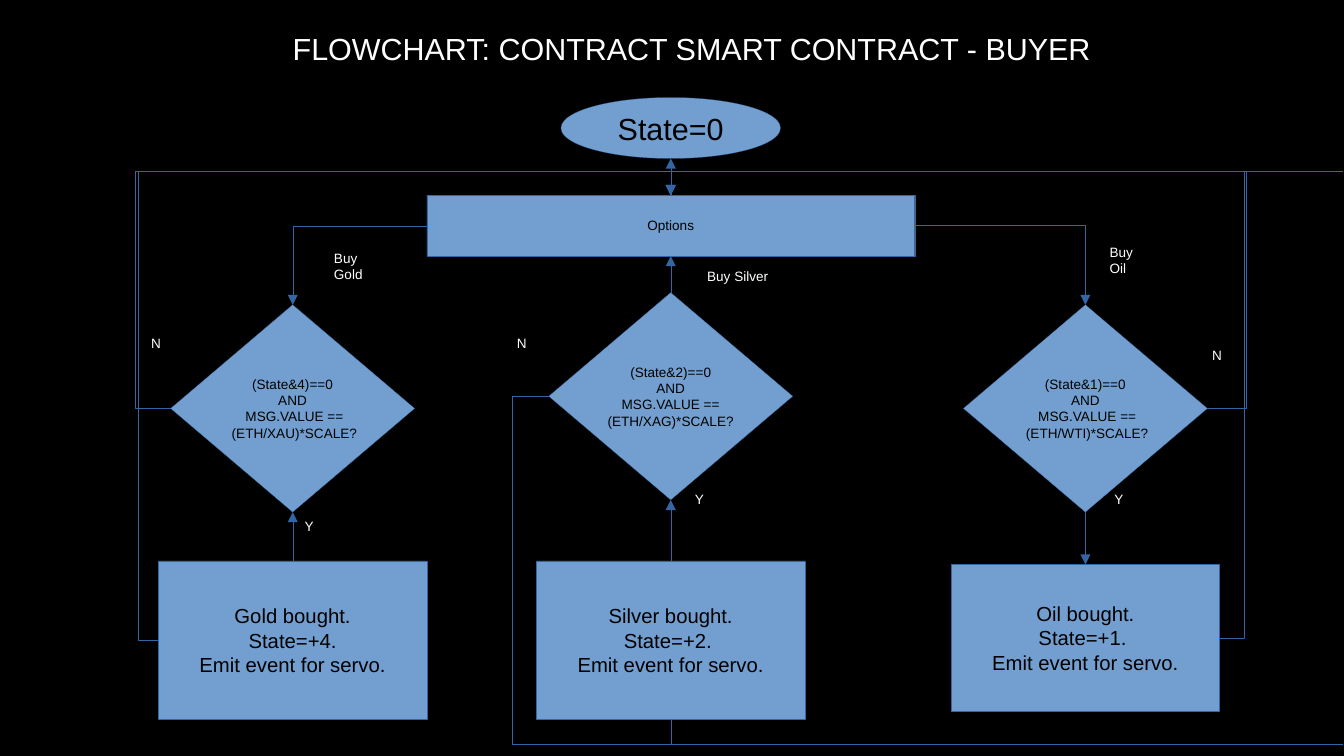
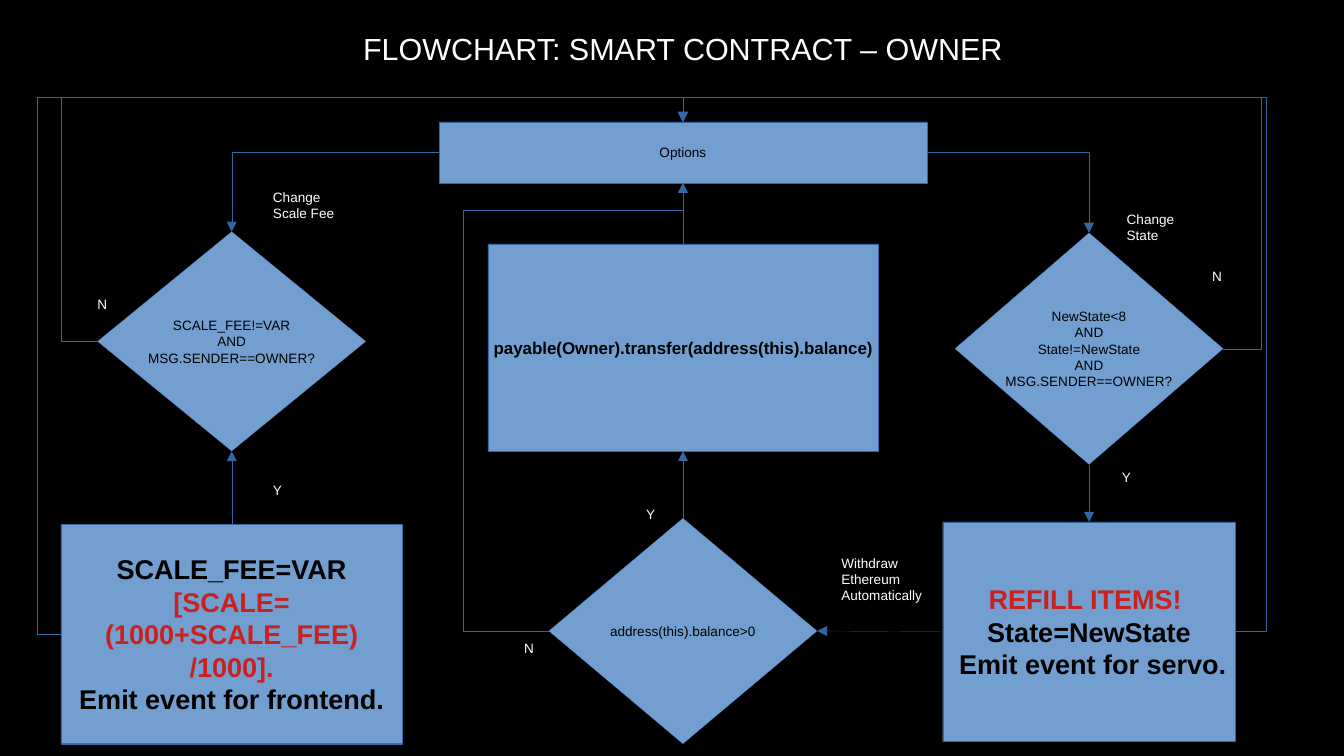
from lxml.etree import SubElement
from pptx import Presentation
from pptx.dml.color import RGBColor
from pptx.enum.shapes import MSO_CONNECTOR as CONNECTOR, MSO_SHAPE as SHAPE
from pptx.enum.text import MSO_ANCHOR, MSO_AUTO_SIZE, PP_ALIGN as ALIGN
from pptx.oxml.ns import qn
from pptx.util import Inches, Pt

COLORS = {
    "background": "000000",
    "light": "FFFFFF",
    "dark": "000000",
    "fill": "729FCF",
    "line": "3465A4",
    "alert": "C9211E",
}
RGB = {name: RGBColor.from_string(value) for name, value in COLORS.items()}
FONT = "Arial"
HAIRLINE = Pt(0.1)
TOP, LEFT, BOTTOM, RIGHT = range(4)


def write(shape, text, size, color, align, bold=False, alert_lines=()):
    shape.text_frame.text = text
    for index, para in enumerate(shape.text_frame.paragraphs):
        para.alignment = align
        for span in para.runs:
            span.font.name = FONT
            span.font.size = Pt(size)
            span.font.bold = bold
            span.font.color.rgb = RGB["alert" if index in alert_lines else color]


def add_line(page, boxes, kind, tail, head, arrow=True):
    points = [(0, 0) if isinstance(end[0], str) else end for end in (tail, head)]
    line = page.shapes.add_connector(kind, *[Inches(value) for point in points for value in point])
    if isinstance(tail[0], str):
        line.begin_connect(boxes[tail[0]], tail[1])
    if isinstance(head[0], str):
        line.end_connect(boxes[head[0]], head[1])
    line.line.color.rgb = RGB["line"]
    line.line.width = HAIRLINE
    if arrow:
        SubElement(line.line._get_or_add_ln(), qn("a:tailEnd"), type="triangle")
    SubElement(line._element.spPr, qn("a:effectLst"))
    return line


deck = Presentation()
deck.slide_width = Inches(11.02)
deck.slide_height = Inches(6.2)
background = deck.slide_master.background.fill
background.solid()
background.fore_color.rgb = RGB["background"]
title_only = deck.slide_layouts[5]
for footer in list(title_only.placeholders)[1:]:
    footer._element.getparent().remove(footer._element)

slides = [
    {
        "title": ("FLOWCHART: CONTRACT SMART CONTRACT - BUYER", 2.3, 7.9, ALIGN.LEFT),
        "nodes": {
            "state": (SHAPE.OVAL, 4.6, 0.8, 1.8, 0.5, "State=0", 18),
            "options": (SHAPE.RECTANGLE, 3.5, 1.6, 4, 0.5, "Options", 8),
            "gold check": (SHAPE.DIAMOND, 1.4, 2.5, 2, 1.7,
                           "(State&4)==0\nAND\n MSG.VALUE ==\n (ETH/XAU)*SCALE?", 8),
            "silver check": (SHAPE.DIAMOND, 4.5, 2.4, 2, 1.7,
                             "(State&2)==0\nAND\n MSG.VALUE == \n(ETH/XAG)*SCALE?", 8),
            "oil check": (SHAPE.DIAMOND, 7.9, 2.5, 2, 1.7,
                          "(State&1)==0\nAND\n MSG.VALUE ==\n (ETH/WTI)*SCALE?", 8),
            "gold": (SHAPE.RECTANGLE, 1.3, 4.6, 2.2, 1.3,
                     "Gold bought.\nState=+4.\nEmit event for servo.", 12),
            "silver": (SHAPE.RECTANGLE, 4.4, 4.6, 2.2, 1.3,
                       "Silver bought.\nState=+2. \nEmit event for servo.", 12),
            "oil": (SHAPE.RECTANGLE, 7.8, 4.63, 2.2, 1.2,
                    "Oil bought.\nState=+1. \nEmit event for servo.", 12),
        },
        "alerts": {},
        "bold": (),
        "labels": [
            ("Y", 2.4, 4.2, 0.46), ("Y", 5.6, 3.98, 0.46), ("Y", 9.04, 3.98, 0.46),
            ("N", 1.14, 2.7, 0.46), ("N", 4.14, 2.7, 0.46), ("N", 9.84, 2.8, 0.46),
            ("Buy Gold", 2.64, 2, 0.46), ("Buy Silver", 5.7, 2.15, 0.8),
            ("Buy\nOil", 9, 1.95, 0.7),
        ],
        "arrows": [
            (("options", TOP), (5.5, 1.3)),
            (("gold", TOP), ("gold check", BOTTOM)),
            (("silver", TOP), ("silver check", BOTTOM)),
            (("oil check", BOTTOM), ("oil", TOP)),
            (("silver check", TOP), ("options", BOTTOM)),
            ((5.5, 1.4), ("options", TOP)),
        ],
        "lines": [
            (("silver", BOTTOM), (5.5, 6.1)),
            ((4.2, 6.1), (11.01, 6.1)),
            ((5.5, 1.4), (11.01, 1.4)),
            (("silver check", LEFT), (4.2, 3.25)),
            ((4.2, 3.25), (4.2, 6.1)),
        ],
        "elbows": [
            (("options", LEFT), ("gold check", TOP), None),
            (("options", RIGHT), ("oil check", TOP), None),
            (("gold", LEFT), ("options", TOP), (1.13, 1.4)),
            (("gold check", LEFT), ("options", TOP), (1.11, 1.4)),
            (("oil", RIGHT), ("options", TOP), (10.2, 1.4)),
            (("oil check", RIGHT), ("options", TOP), (10.22, 1.4)),
        ],
    },
    {
        "title": ("FLOWCHART: SMART CONTRACT – OWNER", 0.4, 10.4, ALIGN.CENTER),
        "nodes": {
            "options": (SHAPE.RECTANGLE, 3.6, 1, 4, 0.5, "Options", 8),
            "fee check": (SHAPE.DIAMOND, 0.8, 1.9, 2.2, 1.8,
                          "SCALE_FEE!=VAR\nAND\nMSG.SENDER==OWNER?", 8),
            "state check": (SHAPE.DIAMOND, 7.83, 1.91, 2.2, 1.9,
                            "NewState<8\nAND\nState!=NewState\nAND\nMSG.SENDER==OWNER?", 8),
            "balance check": (SHAPE.DIAMOND, 4.5, 4.25, 2.2, 1.85,
                              "address(this).balance>0", 8),
            "transfer": (SHAPE.RECTANGLE, 4, 2, 3.2, 1.7,
                         "payable(Owner).transfer(address(this).balance)", 10),
            "fee": (SHAPE.RECTANGLE, 0.5, 4.3, 2.8, 1.8,
                    "SCALE_FEE=VAR\n[SCALE=\n(1000+SCALE_FEE)\n/1000].\n"
                    "Emit event for frontend.", 16),
            "refill": (SHAPE.RECTANGLE, 7.73, 4.28, 2.4, 1.8,
                       "REFILL ITEMS! \nState=NewState\n Emit event for servo.", 16),
        },
        "alerts": {"fee": (1, 2, 3), "refill": (0,)},
        "bold": ("transfer", "fee", "refill"),
        "labels": [
            ("Y", 5.2, 4.1, 0.46), ("Y", 2.14, 3.9, 0.46), ("Y", 9.1, 3.8, 0.46),
            ("N", 0.7, 2.38, 0.46), ("N", 4.2, 5.2, 0.46), ("N", 9.84, 2.15, 0.46),
            ("Change Scale Fee", 2.14, 1.5, 0.86),
            ("Withdraw Ethereum Automatically", 6.8, 4.5, 1),
            ("Change\nState", 9.14, 1.68, 0.86),
        ],
        "arrows": [
            (("fee", TOP), ("fee check", BOTTOM)),
            (("state check", BOTTOM), ("refill", TOP)),
            (("refill", LEFT), ("balance check", RIGHT)),
            (("balance check", TOP), ("transfer", BOTTOM)),
            (("transfer", TOP), ("options", BOTTOM)),
        ],
        "lines": [],
        "elbows": [
            (("options", LEFT), ("fee check", TOP), None),
            (("options", RIGHT), ("state check", TOP), None),
            (("fee check", LEFT), ("options", TOP), (0.5, 0.8)),
            (("fee", LEFT), ("options", TOP), (0.3, 0.8)),
            (("state check", RIGHT), ("options", TOP), (10.34, 0.8)),
            (("refill", RIGHT), ("options", TOP), (10.38, 0.8)),
            (("balance check", LEFT), ("options", BOTTOM), (3.8, 1.72)),
        ],
    },
]

for content in slides:
    page = deck.slides.add_slide(title_only)
    text, left, width, align = content["title"]
    title = page.shapes.title
    title.left, title.top = Inches(left), Inches(0.2)
    title.width, title.height = Inches(width), Inches(0.66)
    title.text_frame.vertical_anchor = MSO_ANCHOR.TOP
    title.text_frame.auto_size = MSO_AUTO_SIZE.NONE
    write(title, text, 18, "light", align)

    boxes = {}
    for name, (kind, left, top, width, height, text, size) in content["nodes"].items():
        box = page.shapes.add_shape(kind, Inches(left), Inches(top), Inches(width), Inches(height))
        box.shadow.inherit = False
        box.fill.solid()
        box.fill.fore_color.rgb = RGB["fill"]
        box.line.color.rgb = RGB["line"]
        box.line.width = HAIRLINE
        box.text_frame.word_wrap = False
        box.text_frame.vertical_anchor = MSO_ANCHOR.MIDDLE
        write(box, text, size, "dark", ALIGN.CENTER,
              name in content["bold"], content["alerts"].get(name, ()))
        boxes[name] = box

    for tail, head in content["arrows"]:
        add_line(page, boxes, CONNECTOR.STRAIGHT, tail, head)
    for tail, head in content["lines"]:
        add_line(page, boxes, CONNECTOR.STRAIGHT, tail, head, arrow=False)

    for tail, head, lane in content["elbows"]:
        elbow = add_line(page, boxes, CONNECTOR.ELBOW, tail, head)
        geometry = elbow._element.spPr.find(qn("a:prstGeom"))
        geometry.set("prst", "bentConnector4" if lane else "bentConnector2")
        if lane:
            across = (Inches(lane[0]) - elbow.begin_x) / (elbow.end_x - elbow.begin_x)
            down = (Inches(lane[1]) - elbow.begin_y) / (elbow.end_y - elbow.begin_y)
            guides = geometry.find(qn("a:avLst"))
            for name, share in (("adj1", across), ("adj2", down)):
                SubElement(guides, qn("a:gd"), name=name, fmla=f"val {round(share * 100000)}")
        frame = elbow._element.spPr.find(qn("a:xfrm"))
        if frame.flipH != frame.flipV:
            frame.rot = 180
            frame.flipH, frame.flipV = not frame.flipH, not frame.flipV

    for text, left, top, width in content["labels"]:
        label = page.shapes.add_textbox(Inches(left), Inches(top), Inches(width), Inches(0.25))
        label.text_frame.word_wrap = True
        write(label, text, 8, "light", ALIGN.LEFT)

deck.save("out.pptx")
